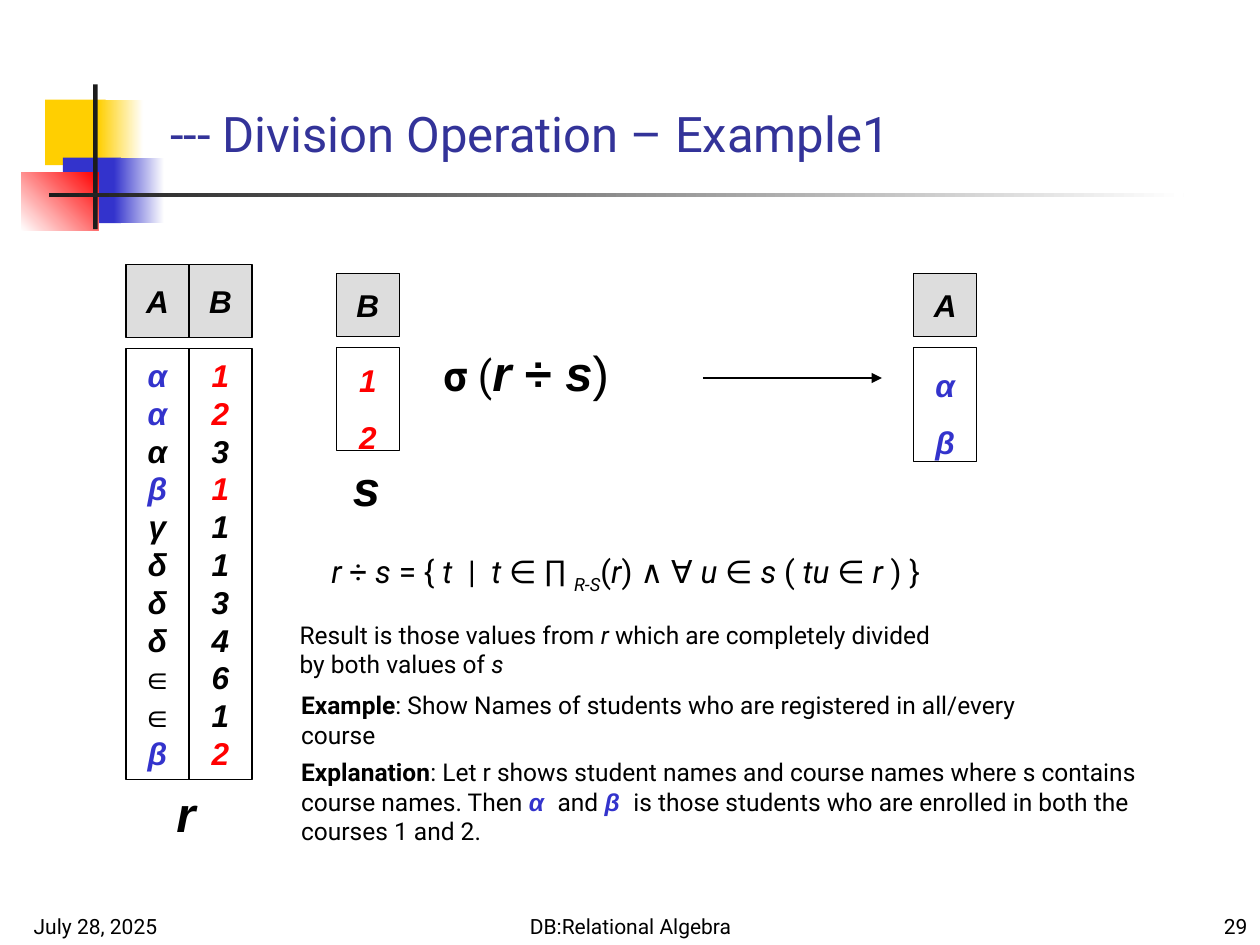
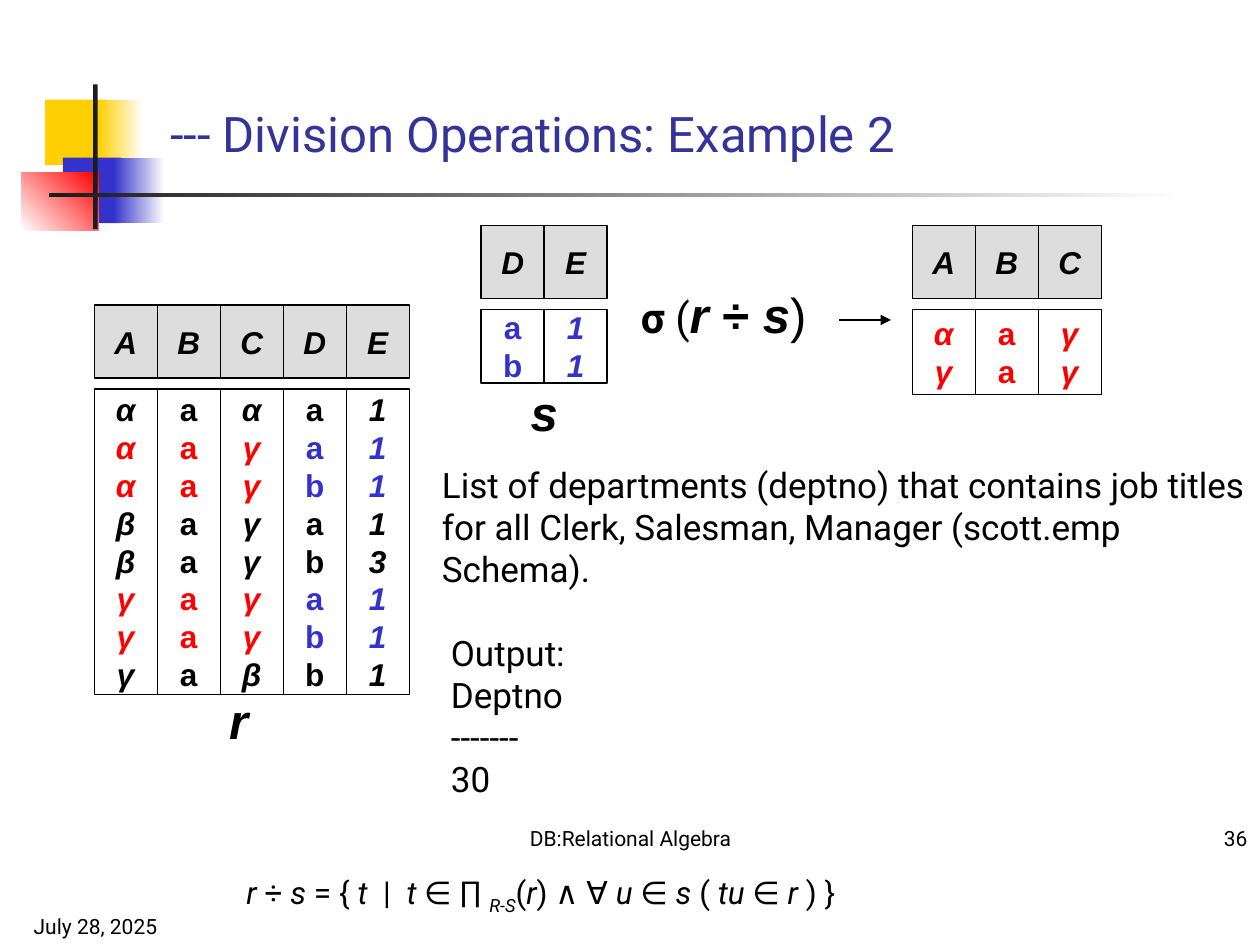
import collections

import lxml.etree
import pptx
import pptx.dml.color
import pptx.enum.shapes
import pptx.enum.text
import pptx.oxml.ns
import pptx.util

Cm = pptx.util.Cm
Pt = pptx.util.Pt
ALIGN = pptx.enum.text.PP_ALIGN
ANCHOR = pptx.enum.text.MSO_ANCHOR
Box = collections.namedtuple("Box", "left top width height")

BODY_FONT, TABLE_FONT = "Roboto", "Arial"
BLACK, WHITE, GREY, INK = "000000", "FFFFFF", "DDDDDD", "1C1C1C"
BLUE, RED, YELLOW, TITLE_BLUE = "3333CC", "FF0000", "FFCF01", "333399"
CELL_COLOURS = {"k": BLACK, "b": BLUE, "r": RED}
HEADER_GAP = 0.22

MOTIF_AREA = Box(0.43, 1.7, 23.43, 2.92)
TITLE_AREA = Box(3.18, 1.7, 21.64, 1.7)
FOOTER_TOP, FOOTER_HEIGHT = 17.98, 1.07

DIVISION_FORMULA = [
    ("r ", "i"), ("÷ ",), ("s", "i"), (" = { ",), ("t", "i"), ("  |  ",),
    ("t ", "i"), ("∈ ∏ ",), ("R-S", "i_"), ("(",), ("r", "i"), (") ∧ ∀ ",),
    ("u ", "i"), ("∈ ",), ("s ", "i"), ("( ",), ("tu", "i"), (" ∈",),
    (" r ", "i"), (") }",),
]


def colour(code):
    return pptx.dml.color.RGBColor.from_string(code)


def lengths(box):
    return [Cm(value) for value in box]


def write_span(para, text, style="", size=18, font=BODY_FONT, ink=BLACK):
    """Add one run; style may hold b (bold), i (italic) and _ (subscript)."""
    span = para.add_run()
    span.text = text
    span.font.name = font
    span.font.size = Pt(size)
    span.font.bold = "b" in style
    span.font.italic = "i" in style
    span.font.color.rgb = colour(ink)
    if "_" in style:
        span._r.get_or_add_rPr().set("baseline", "-25000")


def write_lines(frame, lines, align=ALIGN.LEFT, spacing=None, **look):
    """Fill a text frame; a line is a list of (text, style, own look) spans."""
    for number, line in enumerate(lines):
        para = frame.add_paragraph() if number else frame.paragraphs[0]
        para.alignment = align
        if spacing:
            para.line_spacing = spacing
        for text, style, own in ((*span, "", {})[:3] if len(span) == 1
                                 else (*span, {})[:3] for span in line):
            write_span(para, text, style, **{**look, **own})


def add_text(page, box, lines, anchor=ANCHOR.TOP, wrap=True, **look):
    frame = page.shapes.add_textbox(*lengths(box)).text_frame
    frame.word_wrap = wrap
    frame.vertical_anchor = anchor
    write_lines(frame, lines, **look)
    return frame


def add_rectangle(page, box, fill):
    shape = page.shapes.add_shape(
        pptx.enum.shapes.MSO_SHAPE.RECTANGLE, *lengths(box))
    shape.shadow.inherit = False
    shape.fill.solid()
    shape.fill.fore_color.rgb = colour(fill)
    shape.line.fill.background()
    return shape


def fade(shape, start, end, angle=0):
    shape.fill.gradient()
    shape.fill.gradient_angle = angle
    for stop, code in zip(shape.fill.gradient_stops, (start, end)):
        stop.color.rgb = colour(code)


def draw_motif(page, area):
    """Overlapping colour blocks with the crossed title rules."""
    def block(left, top, width, height, fill):
        return add_rectangle(
            page, Box(area.left + left, area.top + top, width, height), fill)

    block(0.48, 0.31, 1.22, 1.32, YELLOW)
    fade(block(1.55, 0.31, 0.91, 1.32, YELLOW), YELLOW, WHITE)
    block(0.84, 1.48, 1.17, 1.32, BLUE)
    fade(block(1.86, 1.48, 1.02, 1.32, BLUE), BLUE, WHITE)
    fade(block(0, 1.78, 1.55, 1.17, RED), WHITE, RED, angle=45)
    block(1.45, 0, 0.09, area.height, INK)
    fade(block(0.56, 2.19, area.width - 0.56, 0.09, INK), INK, WHITE)


def draw_footer(page, number, topic_top):
    entries = [
        ("July 28, 2025", 0.43, FOOTER_TOP, 5.28, ALIGN.LEFT),
        ("DB:Relational Algebra", 8.69, topic_top, 8.05, ALIGN.CENTER),
        (str(number), 20.12, topic_top, 5.28, ALIGN.RIGHT),
    ]
    for text, left, top, width, align in entries:
        add_text(page, Box(left, top, width, FOOTER_HEIGHT), [[(text,)]],
                 ANCHOR.BOTTOM, align=align, size=12)


def add_page(deck, title, number, topic_top=FOOTER_TOP):
    page = deck.slides.add_slide(deck.slide_layouts[6])
    draw_motif(page, MOTIF_AREA)
    add_text(page, TITLE_AREA, [[(title,)]], ANCHOR.BOTTOM,
             size=28, ink=TITLE_BLUE)
    draw_footer(page, number, topic_top)
    return page


def draw_cell(page, box, fill, lines, spacing=None):
    cell = add_rectangle(page, box, fill)
    cell.line.color.rgb = colour(BLACK)
    cell.line.width = Pt(0.75)
    cell.text_frame.word_wrap = False
    cell.text_frame.vertical_anchor = ANCHOR.MIDDLE
    write_lines(cell.text_frame, lines, ALIGN.CENTER, spacing,
                font=TABLE_FONT)


def draw_relation(page, area, columns, header=1.47, spacing=None):
    """Columns are (name, one letter per value, one colour key per value)."""
    width = area.width / len(columns)
    body_offset = header + HEADER_GAP
    for index, (name, values, inks) in enumerate(columns):
        left = area.left + index * width
        draw_cell(page, Box(left, area.top, width, header), GREY,
                  [[(name, "bi")]])
        lines = [[(value, "b" if value in "ab" else "bi",
                   {"ink": CELL_COLOURS[ink]})]
                 for value, ink in zip(values, inks)]
        body = Box(left, area.top + body_offset, width,
                   area.height - body_offset)
        draw_cell(page, body, WHITE, lines, spacing)


def label_relation(page, name, centre, top):
    add_text(page, Box(centre - 0.54, top, 1.08, 1.45), [[(name, "bi")]],
             ANCHOR.MIDDLE, wrap=False, align=ALIGN.CENTER,
             size=28, font=TABLE_FONT)


def draw_expression(page, area):
    large = {"size": 28, "font": TABLE_FONT}
    add_text(page, area, [[
        ("σ", "b"), (" (",), ("r ", "bi", large), ("÷ ", "b", large),
        ("s", "bi", large), (")", "", large)]], size=24)


def draw_arrow(page, start, end, height):
    arrow = page.shapes.add_connector(
        pptx.enum.shapes.MSO_CONNECTOR.STRAIGHT,
        Cm(start), Cm(height), Cm(end), Cm(height))
    arrow.line.color.rgb = colour(BLACK)
    arrow.line.width = Pt(0.75)
    properties = arrow._element.spPr
    qn = pptx.oxml.ns.qn
    lxml.etree.SubElement(properties.find(qn("a:ln")), qn("a:tailEnd"),
                          type="triangle")
    lxml.etree.SubElement(properties, qn("a:effectLst"))


def build_first_example(deck):
    page = add_page(deck, "--- Division Operation – Example1", 29)
    draw_expression(page, Box(8.69, 6.78, 4.88, 1.47))
    draw_arrow(page, 14.17, 17.78, 7.62)
    draw_relation(page, Box(2.54, 5.33, 2.54, 10.39), [
        ("A", "αααβγδδδ∈∈β", "bbkbkkkkkkb"),
        ("B", "12311134612", "rrkrkkkkkkr")])
    label_relation(page, "r", 3.75, 15.67)
    draw_relation(page, Box(6.78, 5.51, 1.27, 3.58), [("B", "12", "rr")],
                  header=1.27, spacing=1.5)
    label_relation(page, "s", 7.39, 9.09)
    draw_relation(page, Box(18.42, 5.51, 1.27, 3.79), [("A", "αβ", "bb")],
                  header=1.27, spacing=1.5)

    add_text(page, Box(6.43, 11, 17.7, 1.02), [DIVISION_FORMULA])
    add_text(page, Box(5.79, 12.37, 19.1, 1.44), [
        [("Result is those values from ",), ("r", "i"),
         (" which are completely divided",)],
        [("by both values of ",), ("s", "i")]], size=14)
    add_text(page, Box(5.82, 13.79, 16.28, 1.44), [
        [("Example", "b"),
         (": Show Names of students who are registered in all/every course",)],
    ], size=14)
    value = {"font": TABLE_FONT, "ink": BLUE}
    add_text(page, Box(5.82, 15.14, 17.88, 2.06), [
        [("Explanation", "b"),
         (": Let r shows student names and course names where s contains",)],
        [("course names. Then ",), ("α  ", "bi", value), ("and ",),
         ("β  ", "bi", value),
         ("is those students who are enrolled in both the",)],
        [("courses 1 and 2.",)]], size=14)


def build_second_example(deck):
    page = add_page(deck, "--- Division Operations: Example 2", 36, 16.21)
    draw_relation(page, Box(1.9, 6.15, 6.35, 7.85), [
        ("A", "αααββγγγ", "krrkkrrk"),
        ("B", "aaaaaaaa", "krrkkrrk"),
        ("C", "αγγγγγγβ", "krrkkrrk"),
        ("D", "aabababb", "kbbkkbbk"),
        ("E", "11113111", "kbbkkbbk")])
    label_relation(page, "r", 4.81, 13.79)
    draw_expression(page, Box(12.67, 5.61, 4.24, 1.07))
    draw_relation(page, Box(9.7, 4.55, 2.54, 3.17), [
        ("D", "ab", "bb"), ("E", "11", "bb")])
    label_relation(page, "s", 10.97, 7.57)
    draw_arrow(page, 16.92, 17.96, 6.45)
    draw_relation(page, Box(18.39, 4.55, 3.81, 3.4), [
        ("A", "αγ", "rr"), ("B", "aa", "rr"), ("C", "γγ", "rr")])

    query = ("List of departments (deptno) that contains job titles for all "
             "Clerk, Salesman, Manager (scott.emp Schema).")
    output = ["Output:", "Deptno", "-------", "30"]
    frame = add_text(page, Box(8.66, 9.22, 16.71, 7.09),
                     [[(text,)] for text in [query, *output]], size=20)
    output_paras = frame.paragraphs[1:]
    output_paras[0].space_before = Pt(24)
    for para in output_paras:
        para._p.get_or_add_pPr().set("marL", str(Cm(0.18)))
    add_text(page, Box(4.72, 17.48, 19.08, 1.02), [DIVISION_FORMULA])


def main():
    deck = pptx.Presentation()
    deck.slide_width, deck.slide_height = Cm(25.4), Cm(19.05)
    build_first_example(deck)
    build_second_example(deck)
    deck.save("out.pptx")


if __name__ == "__main__":
    main()
